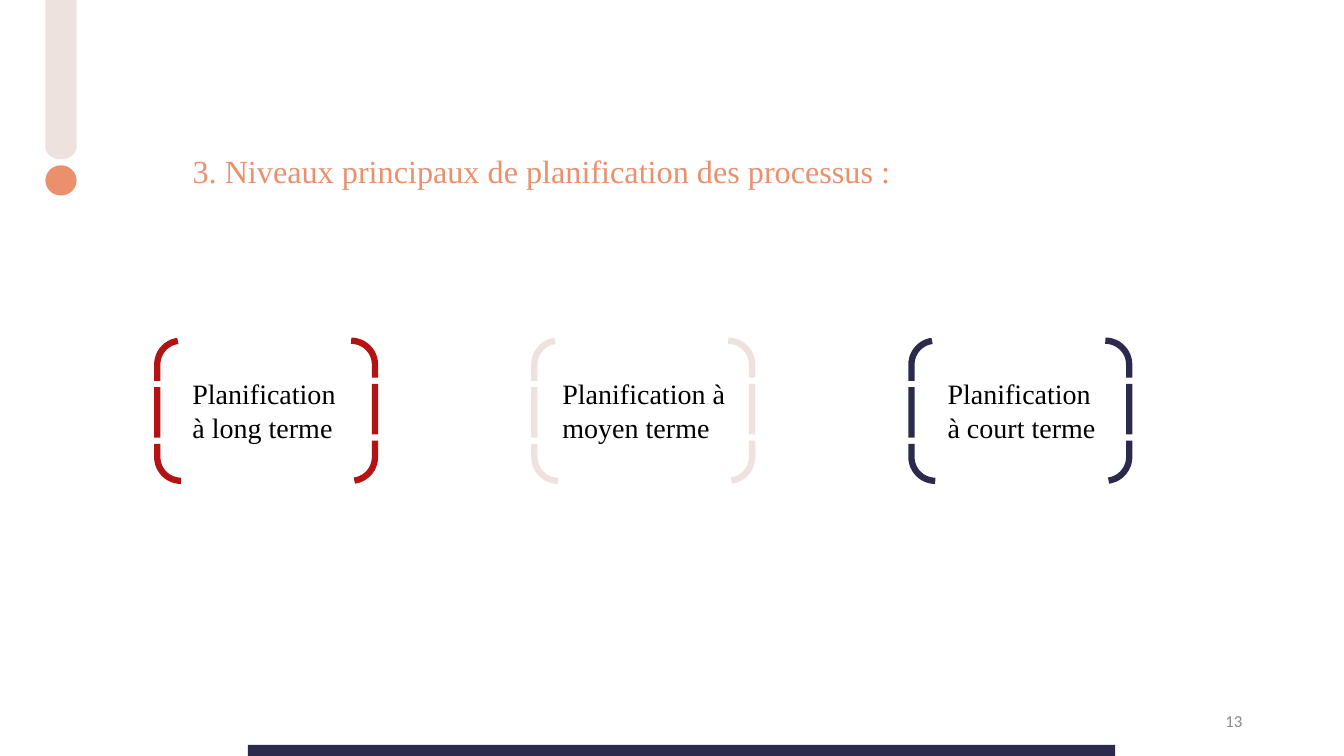
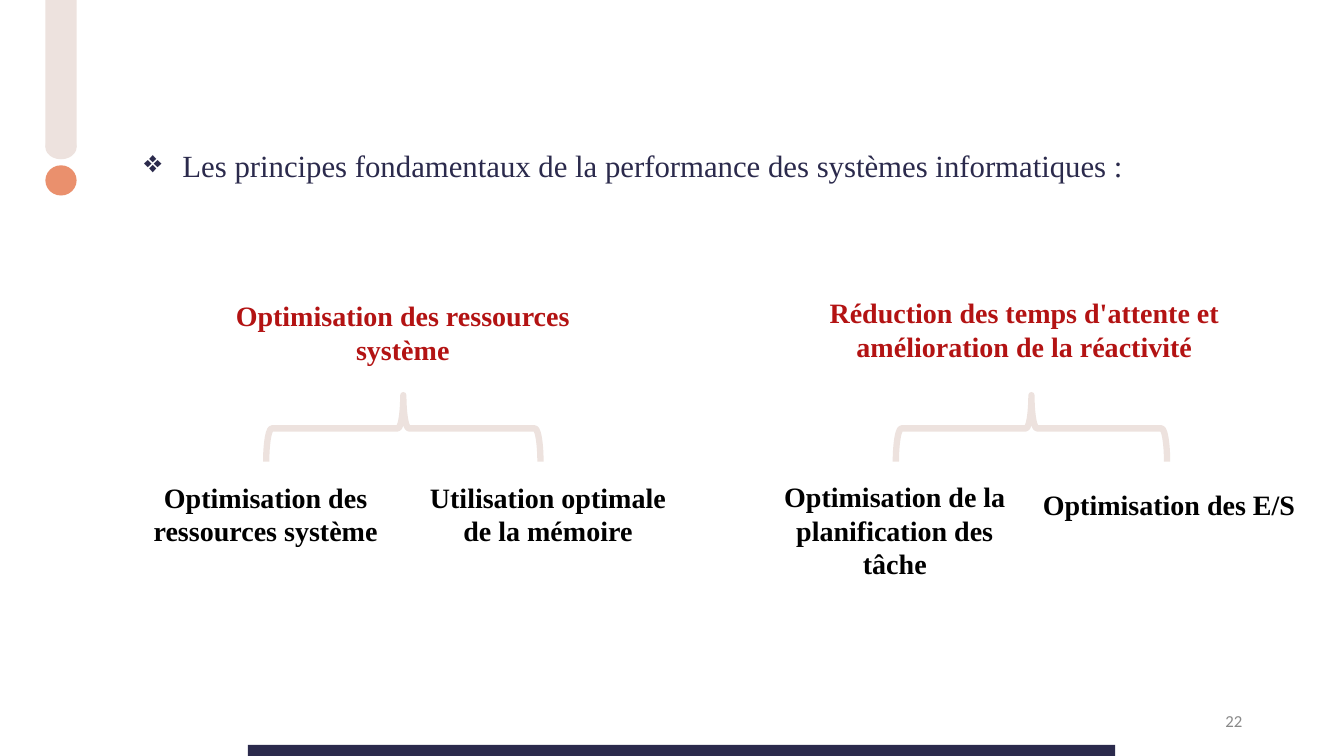
from dataclasses import dataclass

from lxml.etree import SubElement
from pptx import Presentation
from pptx.dml.color import RGBColor
from pptx.enum.shapes import MSO_SHAPE
from pptx.enum.text import MSO_ANCHOR, MSO_AUTO_SIZE, PP_ALIGN
from pptx.oxml.ns import qn
from pptx.util import Inches, Pt

# Shared colours and fonts
SAND = RGBColor(0xED, 0xE2, 0xDE)
CORAL = RGBColor(0xEA, 0x90, 0x6D)
NAVY = RGBColor(0x2B, 0x2A, 0x4C)
RED = RGBColor(0xB3, 0x13, 0x13)
BLACK = RGBColor(0x00, 0x00, 0x00)
GREY = RGBColor(0x89, 0x89, 0x89)
SERIF = "Times New Roman"
SANS = "Calibri"
OUTLINE = Pt(4.5)

Box = tuple[float, float, float, float]  # left, top, width, height in inches


@dataclass(frozen=True)
class Level:
    text: str
    text_left: float
    text_width: float
    color: RGBColor


@dataclass(frozen=True)
class Label:
    text: str
    box: Box
    color: RGBColor = BLACK


@dataclass(frozen=True)
class Branch:
    """A heading, the brace below it and the labels under the brace."""
    center: float
    span: float
    labels: tuple[Label, ...]


LEVELS = (
    Level("Planification à long terme", 1.81, 1.76, RED),
    Level("Planification à moyen terme", 5.48, 1.84, SAND),
    Level("Planification à court terme", 9.3, 1.76, NAVY),
)

BRANCHES = (
    Branch(4.0, 2.72, (
        Label("Optimisation des ressources système", (1.85, 2.79, 4.29, 0.94), RED),
        Label("Optimisation des ressources système", (1.18, 4.58, 2.91, 0.95)),
        Label("Utilisation optimale de la mémoire", (4.16, 4.71, 2.55, 0.82)),
    )),
    Branch(10.23, 2.69, (
        Label("Réduction des temps d'attente et amélioration de la réactivité",
              (7.9, 2.96, 4.52, 0.74), RED),
        Label("Optimisation de la planification des tâche", (7.6, 4.73, 2.55, 1.13)),
        Label("Optimisation des E/S", (10.22, 4.73, 2.75, 0.54)),
    )),
)


def write_text(shape, text: str, *, size: float = 20, color: RGBColor = BLACK,
               font: str = SERIF, bold: bool = False, align=PP_ALIGN.LEFT,
               anchor=MSO_ANCHOR.TOP, inset: float = 0.05, bullet: str = "") -> None:
    """Fill a shape with one formatted paragraph."""
    frame = shape.text_frame
    frame.word_wrap = True
    frame.auto_size = MSO_AUTO_SIZE.NONE
    frame.vertical_anchor = anchor
    frame.margin_left = frame.margin_right = Inches(0.1)
    frame.margin_top = frame.margin_bottom = Inches(inset)
    paragraph = frame.paragraphs[0]
    paragraph.alignment = align
    if bullet:
        properties = paragraph._p.get_or_add_pPr()
        properties.set("marL", str(Inches(0.38)))
        properties.set("indent", str(-Inches(0.38)))
        SubElement(properties, qn("a:buChar")).set("char", bullet)
    run = paragraph.add_run()
    run.text = text
    run.font.name = font
    run.font.size = Pt(size)
    run.font.bold = bold
    run.font.color.rgb = color


def add_text(slide, text: str, box: Box, **text_format) -> None:
    write_text(slide.shapes.add_textbox(*map(Inches, box)), text, **text_format)


def add_filled(slide, kind, box: Box, color: RGBColor) -> None:
    shape = slide.shapes.add_shape(kind, *map(Inches, box))
    shape.shadow.inherit = False
    shape.fill.solid()
    shape.fill.fore_color.rgb = color
    shape.line.fill.background()


def add_outline(slide, kind, box: Box, color: RGBColor):
    shape = slide.shapes.add_shape(kind, *map(Inches, box))
    shape.shadow.inherit = False
    shape.fill.background()
    shape.line.color.rgb = color
    shape.line.width = OUTLINE
    return shape


def add_bracket(slide, box: Box, color: RGBColor) -> None:
    """Draw a bracket pair with long dashes and narrow gaps."""
    shape = add_outline(slide, MSO_SHAPE.DOUBLE_BRACKET, box, color)
    shape.adjustments[0] = 0.17
    line = shape._element.spPr.find(qn("a:ln"))
    dash = SubElement(SubElement(line, qn("a:custDash")), qn("a:ds"))
    dash.set("d", "800000")
    dash.set("sp", "100000")


def add_brace(slide, center: float, span: float) -> None:
    """Draw a brace that opens downward, centred on the given point."""
    depth, middle = 0.66, 4.25
    box = (center - depth / 2, middle - span / 2, depth, span)
    add_outline(slide, MSO_SHAPE.RIGHT_BRACE, box, SAND).rotation = 270


def add_base_slide(presentation, title: str, title_box: Box, number: int,
                   **title_format):
    """Add a slide with the shared decoration, title and number."""
    slide = presentation.slides.add_slide(presentation.slide_layouts[5])
    # Exclamation mark and bottom band
    add_filled(slide, MSO_SHAPE.RECTANGLE, (0.45, 0, 0.31, 1.46), SAND)
    add_filled(slide, MSO_SHAPE.OVAL, (0.45, 1.34, 0.31, 0.24), SAND)
    add_filled(slide, MSO_SHAPE.OVAL, (0.45, 1.64, 0.31, 0.3), CORAL)
    add_filled(slide, MSO_SHAPE.RECTANGLE, (2.46, 7.39, 8.6, 0.11), NAVY)
    # Title and slide number
    holder = slide.shapes.title
    holder.left, holder.top, holder.width, holder.height = map(Inches, title_box)
    write_text(holder, title, **title_format)
    add_text(slide, str(number), (9.42, 6.95, 3, 0.4), size=12, color=GREY,
             font=SANS, align=PP_ALIGN.RIGHT, anchor=MSO_ANCHOR.MIDDLE)
    return slide


def build_levels(presentation) -> None:
    slide = add_base_slide(
        presentation, "3. Niveaux principaux de planification des processus :",
        (1.81, 1.45, 8.03, 0.5), 13, size=23, color=CORAL)
    for index, level in enumerate(LEVELS):
        add_bracket(slide, (1.56 + 3.74 * index, 3.38, 2.16, 1.39), level.color)
        add_text(slide, level.text, (level.text_left, 3.69, level.text_width, 0.77))


def build_principles(presentation) -> None:
    slide = add_base_slide(
        presentation,
        "Les principes fondamentaux de la performance des systèmes informatiques :",
        (1.33, 1.41, 10.87, 0.47), 22, size=22, color=NAVY, bullet="❖")
    for branch in BRANCHES:
        add_brace(slide, branch.center, branch.span)
        for label in branch.labels:
            add_text(slide, label.text, label.box, color=label.color, bold=True,
                     align=PP_ALIGN.CENTER, anchor=MSO_ANCHOR.BOTTOM, inset=0.1)


def main() -> None:
    presentation = Presentation()
    presentation.slide_width = Inches(13.33)
    presentation.slide_height = Inches(7.5)
    build_levels(presentation)
    build_principles(presentation)
    presentation.save("out.pptx")


if __name__ == "__main__":
    main()
